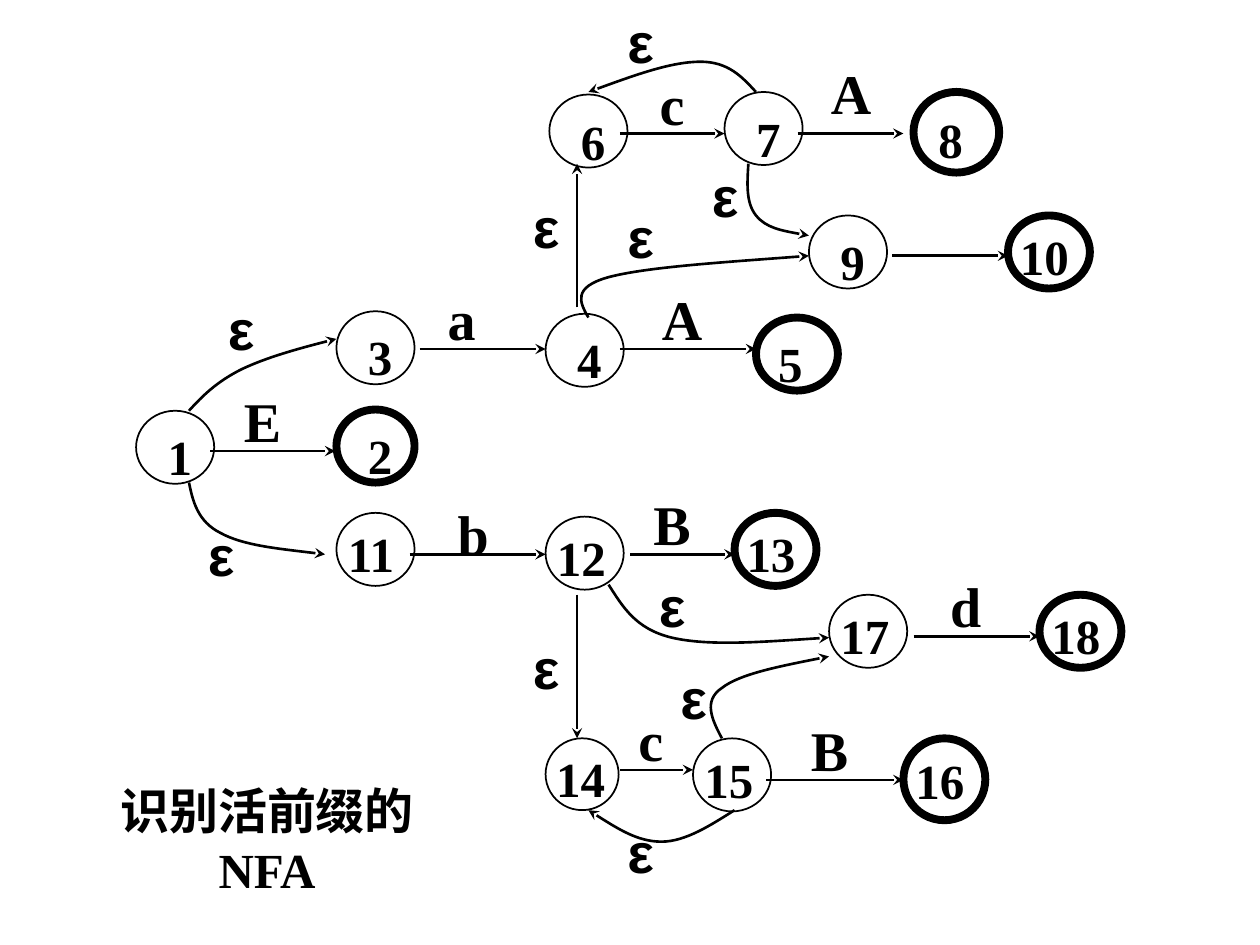
from lxml.etree import SubElement
from pptx import Presentation
from pptx.dml.color import RGBColor
from pptx.enum.shapes import MSO_CONNECTOR, MSO_SHAPE
from pptx.enum.text import MSO_ANCHOR, MSO_AUTO_SIZE, PP_ALIGN
from pptx.oxml.ns import qn
from pptx.util import Inches, Pt

BLACK = RGBColor(0, 0, 0)
SERIF = "Times New Roman"
SANS = "Arial"
THIN, THICK = 1, 4.5
EDGE = 1.5

HIGH = (0.16, 0.05, 0.1, 0.08)
ONE = (0.16, 0.04, 0, 0.08)
TWO = (0, 0, 0, 0.08)
FLAT = (0, 0, 0, 0)
EVEN = (0.1, 0.05, 0.1, 0.05)
LEAN = (0.08, 0.04, 0, 0)

OPEN = (0.62, 0.58)
FINAL = (0.65, 0.58)

STATES = [
    (6, 4.36, 0.75, OPEN, THIN, HIGH),
    (7, 5.75, 0.73, OPEN, THIN, HIGH),
    (8, 7.25, 0.73, (0.68, 0.64), THICK, EVEN),
    (9, 6.42, 1.71, OPEN, THIN, ONE),
    (10, 8, 1.71, FINAL, THICK, FLAT),
    (4, 4.33, 2.49, OPEN, THIN, ONE),
    (5, 6, 2.52, FINAL, THICK, LEAN),
    (3, 2.67, 2.47, OPEN, THIN, ONE),
    (1, 1.08, 3.26, OPEN, THIN, ONE),
    (2, 2.67, 3.25, OPEN, THICK, ONE),
    (11, 2.67, 4.07, OPEN, THIN, TWO),
    (12, 4.33, 4.1, OPEN, THIN, TWO),
    (13, 5.83, 4.07, FINAL, THICK, FLAT),
    (14, 4.33, 5.86, (0.58, 0.57), THIN, TWO),
    (15, 5.5, 5.86, OPEN, THIN, TWO),
    (16, 7.17, 5.86, (0.65, 0.65), THICK, FLAT),
    (18, 8.25, 4.72, FINAL, THICK, FLAT),
    (17, 6.58, 4.72, OPEN, THIN, TWO),
]

CURVES = [
    [(1.5, 3.26), (1.61, 3.14), (1.72, 3.03), (1.92, 2.93),
     (2.11, 2.84), (2.39, 2.76), (2.67, 2.69)],
    [(1.5, 3.83), (1.53, 3.98), (1.57, 4.14), (1.75, 4.23),
     (1.93, 4.33), (2.26, 4.36), (2.58, 4.4)],
    [(4.83, 4.64), (4.94, 4.81), (5.04, 4.99), (5.33, 5.06),
     (5.63, 5.13), (6.1, 5.09), (6.58, 5.06)],
    [(5.83, 6.43), (5.64, 6.55), (5.44, 6.68), (5.25, 6.68),
     (5.06, 6.68), (4.86, 6.55), (4.67, 6.43)],
    [(5.73, 5.86), (5.65, 5.71), (5.58, 5.56), (5.73, 5.46),
     (5.87, 5.35), (6.23, 5.28), (6.58, 5.21)],
    [(5.94, 1.3), (5.93, 1.46), (5.92, 1.61), (6, 1.71),
     (6.08, 1.81), (6.25, 1.84), (6.42, 1.87)],
    [(4.67, 2.52), (4.6, 2.4), (4.54, 2.28), (4.83, 2.2),
     (5.13, 2.12), (5.77, 2.08), (6.42, 2.03)],
    [(6, 0.73), (5.89, 0.61), (5.78, 0.49), (5.56, 0.49),
     (5.33, 0.49), (5, 0.61), (4.67, 0.73)],
]

FLOWS = [
    (1.67, 2.66, 3.58), (3.33, 4.33, 2.77), (4.92, 6, 2.77),
    (3.25, 4.33, 4.4), (5, 5.83, 4.4), (7.25, 8.25, 5.05),
    (6.08, 7.17, 6.19), (4.92, 5.75, 1.06), (6.33, 7.17, 1.06),
    (7.08, 8, 2.03), (4.92, 5.5, 6.11),
]
RISES = [(4.58, 2.44, 1.3), (4.58, 4.72, 5.86)]

LABELS = {
    "ε": [(1.42, 4.07), (4.75, 0), (1.58, 2.28), (4, 1.47), (5.42, 1.22),
          (4.75, 1.55), (5.17, 5.21), (4, 4.97), (4.75, 6.43), (5, 4.48)],
    "a": [(3.33, 2.2)],
    "A": [(5.08, 2.2), (6.42, 0.41)],
    "E": [(1.75, 3.01)],
    "b": [(3.42, 3.91)],
    "B": [(5, 3.83), (6.25, 5.62)],
    "c": [(5, 0.49), (4.83, 5.54)],
    "d": [(7.33, 4.48)],
}


class Graph:
    def __init__(self, slide, ink=BLACK):
        self.slide = slide
        self.shapes = slide.shapes
        self.ink = ink

    def letter(self, shape, text, size, font, align, anchor, pads, wrap):
        frame = shape.text_frame
        frame.text = text
        frame.auto_size = MSO_AUTO_SIZE.NONE
        frame.word_wrap = wrap
        frame.vertical_anchor = anchor
        (frame.margin_left, frame.margin_top,
         frame.margin_right, frame.margin_bottom) = map(Inches, pads)
        line = frame.paragraphs[0]
        line.alignment = align
        for run in line.runs:
            run.font.size = Pt(size)
            run.font.name = font
            run.font.bold = True
            run.font.color.rgb = self.ink

    def stroke(self, shape, width):
        shape.line.color.rgb = self.ink
        shape.line.width = Pt(width)

    def point(self, shape):
        self.stroke(shape, EDGE)
        line = shape._element.spPr.find(qn("a:ln"))
        SubElement(line, qn("a:tailEnd"), type="stealth")

    def title(self, text, left, top, width, height):
        shape = self.shapes.title
        shape.left, shape.top = Inches(left), Inches(top)
        shape.width, shape.height = Inches(width), Inches(height)
        self.letter(shape, text, 28, SERIF, PP_ALIGN.CENTER,
                    MSO_ANCHOR.MIDDLE, EVEN, False)

    def state(self, name, left, top, size, width, pads):
        shape = self.shapes.add_shape(
            MSO_SHAPE.OVAL, Inches(left), Inches(top), *map(Inches, size))
        shape.shadow.inherit = False
        shape.fill.background()
        self.stroke(shape, width)
        self.letter(shape, str(name), 28, SERIF, PP_ALIGN.JUSTIFY,
                    MSO_ANCHOR.TOP, pads, True)

    def arrow(self, *ends):
        shape = self.shapes.add_connector(
            MSO_CONNECTOR.STRAIGHT, *map(Inches, ends))
        self.point(shape)
        SubElement(shape._element.spPr, qn("a:effectLst"))

    def curve(self, points):
        first, *rest = [(Inches(x), Inches(y)) for x, y in points]
        pen = self.shapes.build_freeform(*first)
        pen.add_line_segments(rest, close=False)
        shape = pen.convert_to_shape()
        shape.shadow.inherit = False
        shape.fill.background()
        self.point(shape)
        trace = next(shape._element.iter(qn("a:path")))
        parts = trace.findall(qn("a:lnTo"))
        for start in range(0, len(parts), 3):
            bend = SubElement(trace, qn("a:cubicBezTo"))
            for part in parts[start:start + 3]:
                bend.append(part[0])
                trace.remove(part)

    def label(self, text, left, top):
        shape = self.shapes.add_textbox(
            Inches(left), Inches(top), Inches(0.67), Inches(0.65))
        font = SANS if text == "ε" else SERIF
        self.letter(shape, text, 32, font, PP_ALIGN.CENTER,
                    MSO_ANCHOR.MIDDLE, EVEN, False)


def main():
    deck = Presentation()
    deck.slide_width, deck.slide_height = Inches(10), Inches(7.5)
    graph = Graph(deck.slides.add_slide(deck.slide_layouts[5]))
    graph.title("识别活前缀的NFA", 0.83, 6.25, 2.58, 0.83)
    for state in STATES:
        graph.state(*state)
    for points in CURVES:
        graph.curve(points)
    for start, end, y in FLOWS:
        graph.arrow(start, y, end, y)
    for x, start, end in RISES:
        graph.arrow(x, start, x, end)
    for text, spots in LABELS.items():
        for spot in spots:
            graph.label(text, *spot)
    deck.save("out.pptx")


if __name__ == "__main__":
    main()
